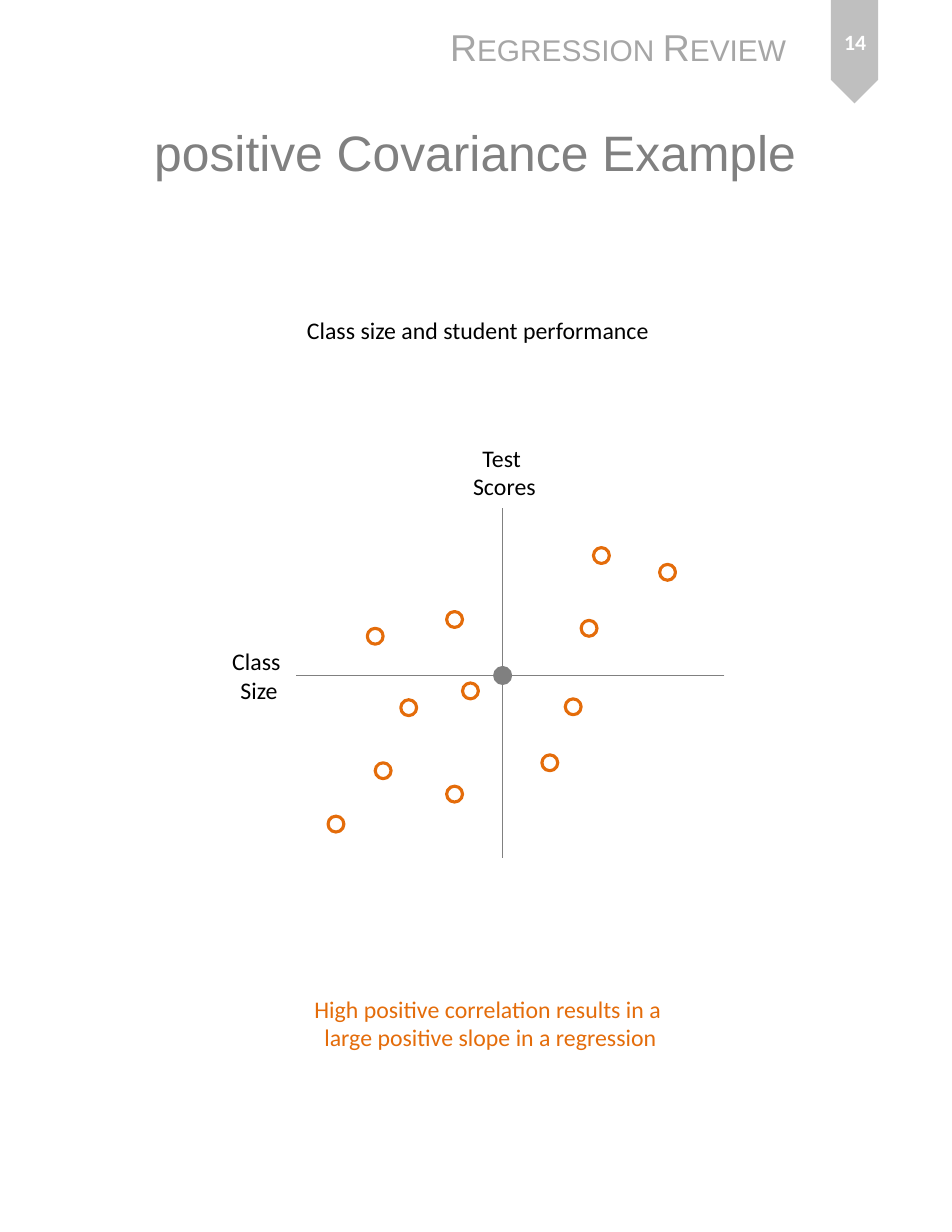
from dataclasses import dataclass

from lxml import etree
from pptx import Presentation
from pptx.dml.color import RGBColor
from pptx.enum.shapes import MSO_CONNECTOR, MSO_SHAPE
from pptx.enum.text import MSO_ANCHOR, MSO_AUTO_SIZE, PP_ALIGN
from pptx.oxml.ns import qn
from pptx.util import Cm, Pt

STRAIGHT = MSO_CONNECTOR.STRAIGHT
OVAL = MSO_SHAPE.OVAL
PENTAGON = MSO_SHAPE.PENTAGON
MIDDLE = MSO_ANCHOR.MIDDLE
TOP = MSO_ANCHOR.TOP
GROW = MSO_AUTO_SIZE.SHAPE_TO_FIT_TEXT
LEFT = PP_ALIGN.LEFT
CENTER = PP_ALIGN.CENTER


@dataclass(frozen=True)
class Theme:
    heading_font: str = "Arial"
    body_font: str = "Calibri"
    gray: str = "808080"
    header_gray: str = "A6A6A6"
    ribbon_gray: str = "BFBFBF"
    orange: str = "E46C0A"
    black: str = "000000"
    white: str = "FFFFFF"
    title_size: float = 32
    header_size: float = 24
    body_size: float = 15.3
    number_size: float = 14
    axis_width: float = 0.75
    dot_width: float = 2
    dot_diameter: float = 0.36


class Sketcher:
    def __init__(self, page, theme):
        self.page = page
        self.theme = theme

    def text(self, bounds, paragraphs, size=None, color=None, font=None, align=CENTER,
             anchor=TOP, wrap=False, bold=False, small_caps=False):
        theme = self.theme
        box = self.page.shapes.add_textbox(*map(Cm, bounds))
        frame = box.text_frame
        frame.word_wrap = wrap
        frame.vertical_anchor = anchor
        if not wrap:
            frame.auto_size = GROW
        for index, words in enumerate(paragraphs):
            para = frame.add_paragraph() if index else frame.paragraphs[0]
            para.text = words
            para.alignment = align
            para.font.name = font or theme.body_font
            para.font.size = Pt(size or theme.body_size)
            para.font.bold = bold
            para.font.color.rgb = RGBColor.from_string(color or theme.black)
            if small_caps:
                for span in para.runs:
                    span._r.get_or_add_rPr().set("cap", "small")

    def axis(self, x1, y1, x2, y2):
        line = self.page.shapes.add_connector(STRAIGHT, Cm(x1), Cm(y1), Cm(x2), Cm(y2))
        line.line.color.rgb = RGBColor.from_string(self.theme.gray)
        line.line.width = Pt(self.theme.axis_width)
        etree.SubElement(line._element.spPr, qn("a:effectLst"))

    def dot(self, x, y, color, filled=False):
        size = self.theme.dot_diameter
        circle = self.page.shapes.add_shape(
            OVAL, Cm(x - size / 2), Cm(y - size / 2), Cm(size), Cm(size))
        circle.shadow.inherit = False
        if filled:
            circle.fill.solid()
            circle.fill.fore_color.rgb = RGBColor.from_string(color)
        else:
            circle.fill.background()
        circle.line.color.rgb = RGBColor.from_string(color)
        circle.line.width = Pt(self.theme.dot_width)

    def ribbon(self, bounds):
        shape = self.page.shapes.add_shape(PENTAGON, *map(Cm, bounds))
        shape.rotation = 90
        shape.shadow.inherit = False
        shape.fill.solid()
        shape.fill.fore_color.rgb = RGBColor.from_string(self.theme.ribbon_gray)
        shape.line.fill.background()


ORIGIN_X, ORIGIN_Y = 11.4, 15.32
OBSERVATIONS = [
    (13.36, 14.25), (13.64, 12.6), (8.69, 17.48), (9.27, 16.05),
    (10.67, 15.67), (8.51, 14.43), (10.31, 14.05), (13, 16.03),
    (12.47, 17.3), (10.31, 18.01), (7.62, 18.69), (15.14, 12.98),
]


def main():
    deck = Presentation()
    deck.slide_width, deck.slide_height = Cm(21.59), Cm(27.94)
    theme = Theme()
    sketch = Sketcher(deck.slides.add_slide(deck.slide_layouts[6]), theme)

    sketch.ribbon((18.21, 0.64, 2.34, 1.07))
    sketch.text((1.07, 1.12, 19.43, 4.65), ["positive Covariance Example"],
                theme.title_size, theme.gray, theme.heading_font, anchor=MIDDLE, wrap=True)

    sketch.axis(ORIGIN_X, 11.53, ORIGIN_X, 19.46)
    sketch.axis(16.43, ORIGIN_Y, 6.71, ORIGIN_Y)
    sketch.dot(ORIGIN_X, ORIGIN_Y, theme.gray, filled=True)
    for x, y in OBSERVATIONS:
        sketch.dot(x, y, theme.orange)

    sketch.text((6.83, 22.43, 8.59, 1.57),
                ["High positive correlation results in a \nlarge positive slope in a regression"],
                color=theme.orange)
    sketch.text((5, 14.55, 1.75, 1.57), ["Class \nSize"])
    sketch.text((10.46, 9.93, 1.96, 1.57), ["Test ", "Scores"])
    sketch.text((6.71, 7.04, 8.33, 0.91), ["Class size and student performance"], align=LEFT)

    sketch.text((18.44, 0.2, 1.91, 1.49), ["14"], theme.number_size, theme.white,
                anchor=MIDDLE, wrap=True, bold=True)
    sketch.text((9.96, 0.43, 8.26, 1.27), ["Regression Review"], theme.header_size,
                theme.header_gray, theme.heading_font, align=LEFT, small_caps=True)

    deck.save("out.pptx")


if __name__ == "__main__":
    main()
